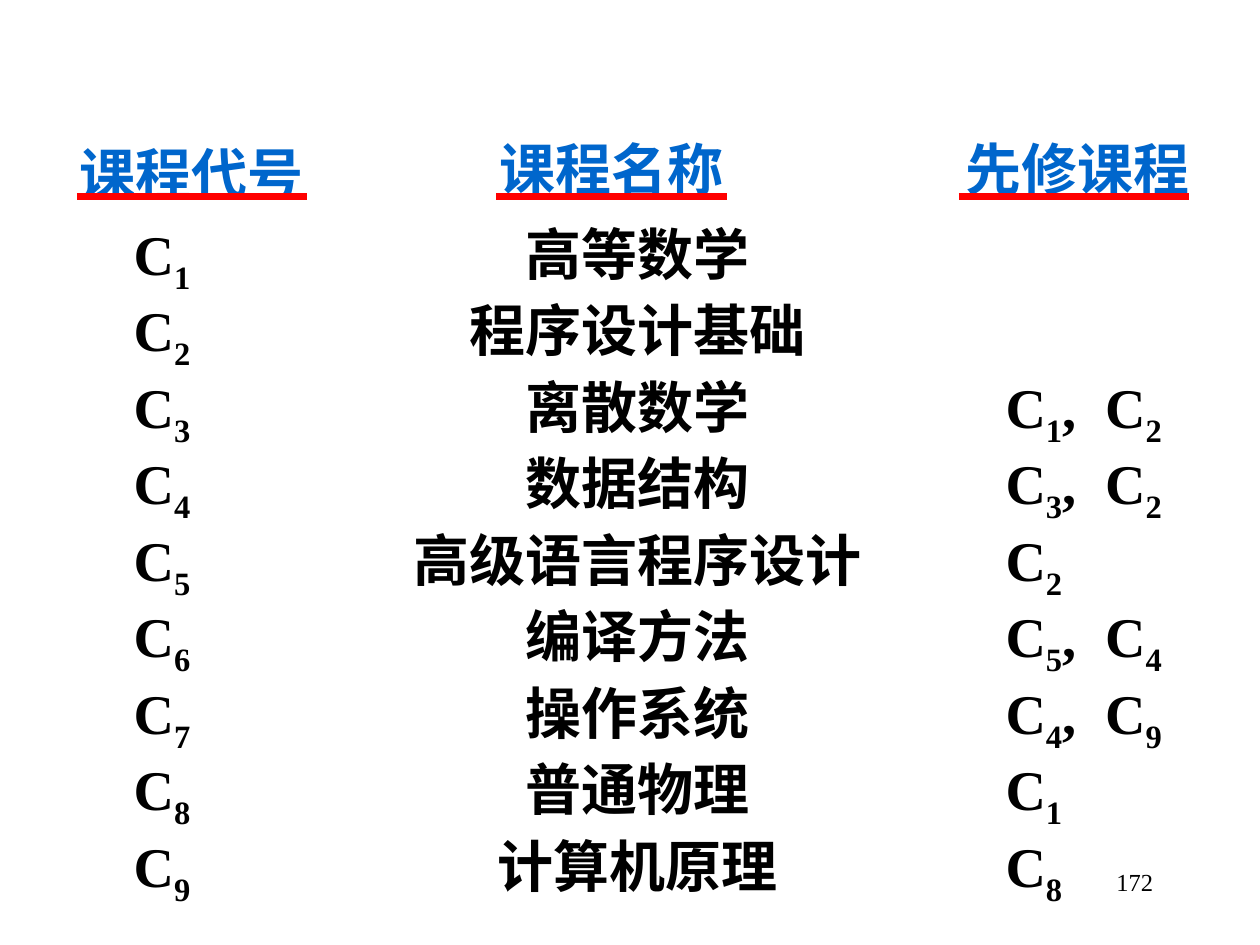
from lxml import etree
from pptx import Presentation
from pptx.dml.color import RGBColor
from pptx.enum.shapes import MSO_CONNECTOR
from pptx.enum.text import PP_ALIGN
from pptx.oxml.ns import qn
from pptx.util import Inches, Pt

BLACK = RGBColor(0x00, 0x00, 0x00)
BLUE = RGBColor(0x00, 0x66, 0xCC)
RED = RGBColor(0xFF, 0x00, 0x00)
CENTER = PP_ALIGN.CENTER
RIGHT = PP_ALIGN.RIGHT
STRAIGHT = MSO_CONNECTOR.STRAIGHT
SERIF = "Times New Roman"
SANS = "Noto Sans CJK SC"

HEADS = [
    ("课程代号", 0.52, 1.06, 2, 0.61),
    ("课程名称", 3.91, 1.02, 1.89, 3.94),
    ("先修课程", 7.61, 1.02, 1.89, 7.61),
]
COURSES = [
    ("高等数学", ""),
    ("程序设计基础", ""),
    ("离散数学", "12"),
    ("数据结构", "32"),
    ("高级语言程序设计", "2"),
    ("编译方法", "54"),
    ("操作系统", "49"),
    ("普通物理", "1"),
    ("计算机原理", "8"),
]
TABS = [(4, "ctr"), (6.92, "l"), (7.71, "l")]

deck = Presentation()
deck.slide_width, deck.slide_height = Inches(10), Inches(7.5)
slide = deck.slides.add_slide(deck.slide_layouts[6])


def add_box(left, top, width, height):
    box = slide.shapes.add_textbox(Inches(left), Inches(top), Inches(width), Inches(height))
    frame = box.text_frame
    frame.word_wrap = True
    return frame


def set_font(para, name, size, color, bold):
    font = para.font
    font.name, font.size, font.bold = name, Pt(size), bold
    font.color.rgb = color
    latin = font._element.find(qn("a:latin"))
    east = etree.Element(qn("a:ea"), typeface=SANS)
    latin.addnext(east)


table = add_box(0.52, 1.69, 9.05, 4.9)
table.margin_left = Inches(0.54)
for num, (name, needs) in enumerate(COURSES, 1):
    para = table.paragraphs[0] if num == 1 else table.add_paragraph()
    stops = etree.SubElement(para._p.get_or_add_pPr(), qn("a:tabLst"))
    for pos, side in TABS:
        etree.SubElement(stops, qn("a:tab"), pos=str(Inches(pos)), algn=side)
    para.line_spacing = Pt(43.7)
    set_font(para, SERIF, 32, BLACK, True)
    parts = ["C", str(num), "\t" + name]
    for spot, need in enumerate(needs):
        parts[-1] += ",\tC" if spot else "\tC"
        parts += [need, ""]
    for part in filter(None, parts):
        run = para.add_run()
        run.text = part
        if part.isdigit():
            run.font._element.set("baseline", "-25000")

for text, left, top, width, start in HEADS:
    frame = add_box(left, top, width, 0.45)
    frame.word_wrap = False
    frame.margin_left = frame.margin_right = 0
    para = frame.paragraphs[0]
    para.text = text
    para.alignment = CENTER
    set_font(para, SANS, 32, BLUE, True)
    rule = slide.shapes.add_connector(
        STRAIGHT, Inches(start), Inches(1.56), Inches(start + 1.83), Inches(1.56))
    rule.line.color.rgb = RED
    rule.line.width = Pt(4.5)
    etree.SubElement(rule._element.spPr, qn("a:effectLst"))

page = add_box(7.17, 6.83, 2.08, 0.5).paragraphs[0]
page.text = "172"
page.alignment = RIGHT
set_font(page, SERIF, 14, BLACK, False)

deck.save("out.pptx")
